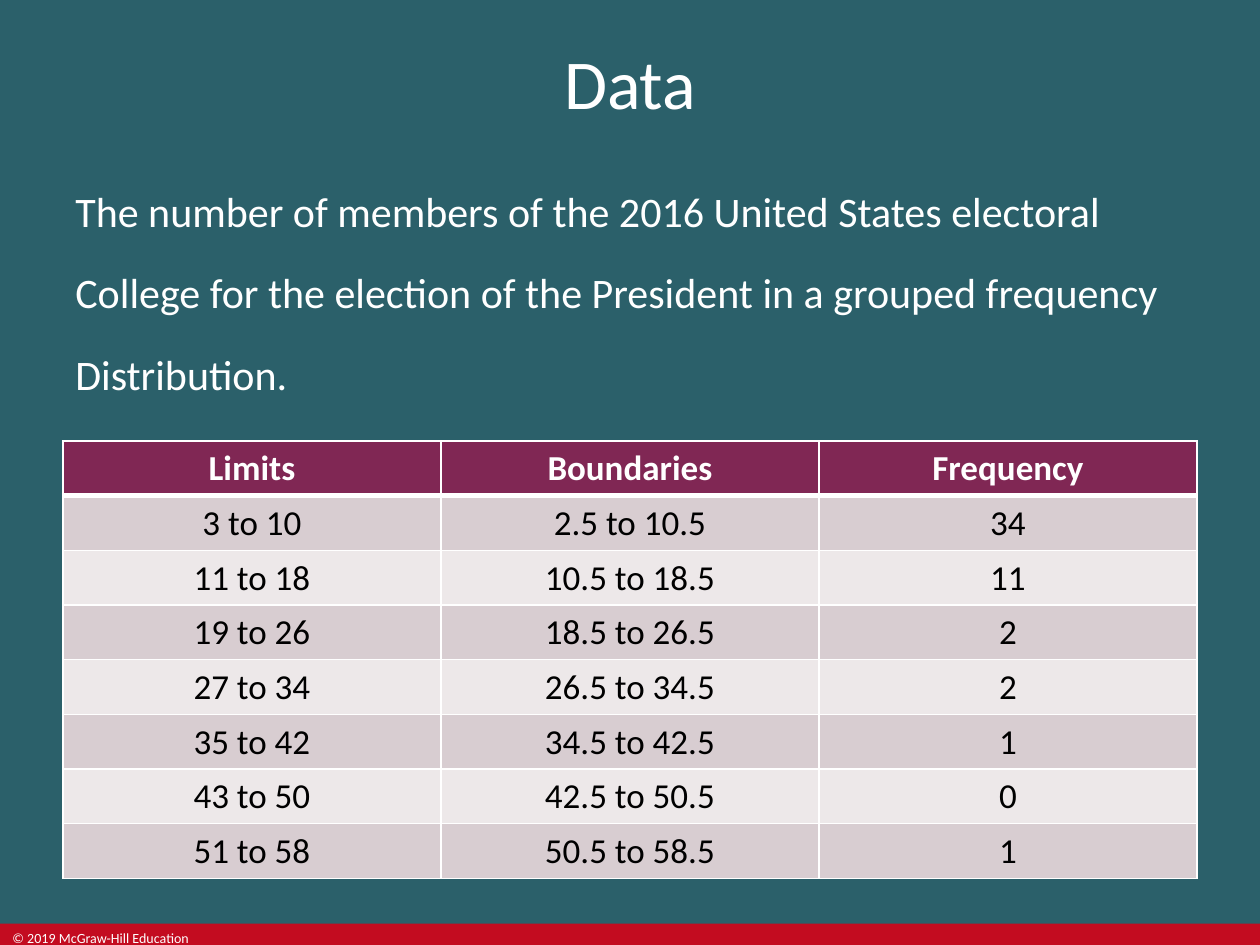
from lxml import etree
from pptx import Presentation
from pptx.dml.color import RGBColor
from pptx.enum.shapes import MSO_SHAPE
from pptx.enum.text import MSO_ANCHOR, PP_ALIGN
from pptx.oxml.ns import qn
from pptx.util import Pt

RECTANGLE = MSO_SHAPE.RECTANGLE
MIDDLE, TOP = MSO_ANCHOR.MIDDLE, MSO_ANCHOR.TOP
CENTER, LEFT = PP_ALIGN.CENTER, PP_ALIGN.LEFT

TEAL = RGBColor(0x2B, 0x60, 0x6A)
RED = RGBColor(0xC3, 0x0C, 0x20)
PLUM = RGBColor(0x80, 0x27, 0x54)
DARK_BAND = RGBColor(0xD8, 0xCD, 0xD1)
LIGHT_BAND = RGBColor(0xED, 0xE8, 0xE9)
WHITE = RGBColor(0xFF, 0xFF, 0xFF)
BLACK = RGBColor(0x00, 0x00, 0x00)

TITLE_FORMAT = {"name": "Calibri", "size": Pt(40), "bold": False}
BODY_FORMAT = {"name": "Calibri", "size": Pt(24)}
HEADER_FORMAT = {"name": "Calibri", "size": Pt(20), "bold": True}
CELL_FORMAT = {"name": "Calibri", "size": Pt(20), "bold": False}
FOOTER_FORMAT = {"name": "Calibri", "size": Pt(8)}

INTRODUCTION = [
    "The number of members of the 2016 United States electoral",
    "College for the election of the President in a grouped frequency",
    "Distribution.",
]
HEADINGS = ["Limits", "Boundaries", "Frequency"]
FREQUENCIES = [34, 11, 2, 2, 1, 0, 1]
FIRST_LIMIT, CLASS_WIDTH = 3, 8
THIN, THICK = 1, 3


def write_paragraph(paragraph, text, font_format, color, alignment=LEFT):
    paragraph.text = text
    paragraph.alignment = alignment
    for name, value in font_format.items():
        setattr(paragraph.font, name, value)
    paragraph.font.color.rgb = color


def place(shape, box):
    for name, value in zip(("left", "top", "width", "height"), box):
        setattr(shape, name, Pt(value))


def add_text(slide, box, lines, font_format, spacing):
    text_box = slide.shapes.add_textbox(*map(Pt, box))
    frame = text_box.text_frame
    frame.word_wrap = True
    frame.vertical_anchor = TOP
    for index, line in enumerate(lines):
        paragraph = frame.paragraphs[0] if index == 0 else frame.add_paragraph()
        write_paragraph(paragraph, line, font_format, WHITE)
        paragraph.space_before = Pt(spacing[0] if index else 0)
        paragraph.space_after = Pt(spacing[1])


def add_title(slide, box, text):
    title = slide.shapes.title
    place(title, box)
    title.text_frame.vertical_anchor = MIDDLE
    write_paragraph(title.text_frame.paragraphs[0], text, TITLE_FORMAT, WHITE, CENTER)


def add_footer(slide, box, text):
    left, top, width, height = box
    bar = slide.shapes.add_shape(RECTANGLE, *map(Pt, box))
    bar.shadow.inherit = False
    bar.fill.solid()
    bar.fill.fore_color.rgb = RED
    bar.line.fill.background()
    add_text(slide, (left, top, 122.4, height), [text], FOOTER_FORMAT, (0, 0))


def set_borders(cell, widths):
    properties = cell._tc.get_or_add_tcPr()
    for side, width in widths.items():
        line = etree.SubElement(properties, qn(f"a:ln{side}"), w=str(Pt(width)))
        fill = etree.SubElement(line, qn("a:solidFill"))
        etree.SubElement(fill, qn("a:srgbClr"), val=str(WHITE))


def frequency_rows():
    for index, frequency in enumerate(FREQUENCIES):
        low = FIRST_LIMIT + index * CLASS_WIDTH
        high = low + CLASS_WIDTH - 1
        yield [f"{low} to {high}", f"{low - 0.5} to {high + 0.5}", str(frequency)]


def add_frequency_table(slide, box):
    rows = [HEADINGS, *frequency_rows()]
    table = slide.shapes.add_table(len(rows), len(HEADINGS), *map(Pt, box)).table
    for row_index, row in enumerate(rows):
        if row_index == 0:
            fill, color, font_format = PLUM, WHITE, HEADER_FORMAT
        else:
            fill = DARK_BAND if row_index % 2 else LIGHT_BAND
            color, font_format = BLACK, CELL_FORMAT
        # A thick rule separates the headings from the classes
        widths = {
            "L": THIN,
            "R": THIN,
            "T": THICK if row_index == 1 else THIN,
            "B": THICK if row_index == 0 else THIN,
        }
        for column_index, text in enumerate(row):
            cell = table.cell(row_index, column_index)
            set_borders(cell, widths)
            cell.fill.solid()
            cell.fill.fore_color.rgb = fill
            write_paragraph(cell.text_frame.paragraphs[0], text, font_format, color, CENTER)


def build_data_slide(presentation, box):
    left, top, width, height = box
    slide = presentation.slides.add_slide(presentation.slide_layouts[5])
    slide.background.fill.solid()
    slide.background.fill.fore_color.rgb = TEAL

    # Footer bar along the bottom edge
    footer_height = 12.24
    footer_box = (left, top + height - footer_height, width, footer_height)
    add_footer(slide, footer_box, "© 2019 McGraw-Hill Education")

    # Title, introduction and table
    margin = 36
    add_title(slide, (left, top, width, 93.6), "Data")
    add_text(slide, (left + margin, top + 102.24, 662.4, 131.76),
             INTRODUCTION, BODY_FORMAT, (12, 6))
    add_frequency_table(slide, (left + margin, top + 252, width - 2 * margin, 249.6))


def main():
    presentation = Presentation()
    width, height = 720, 540
    presentation.slide_width, presentation.slide_height = Pt(width), Pt(height)
    build_data_slide(presentation, (0, 0, width, height))
    presentation.save("out.pptx")


if __name__ == "__main__":
    main()
